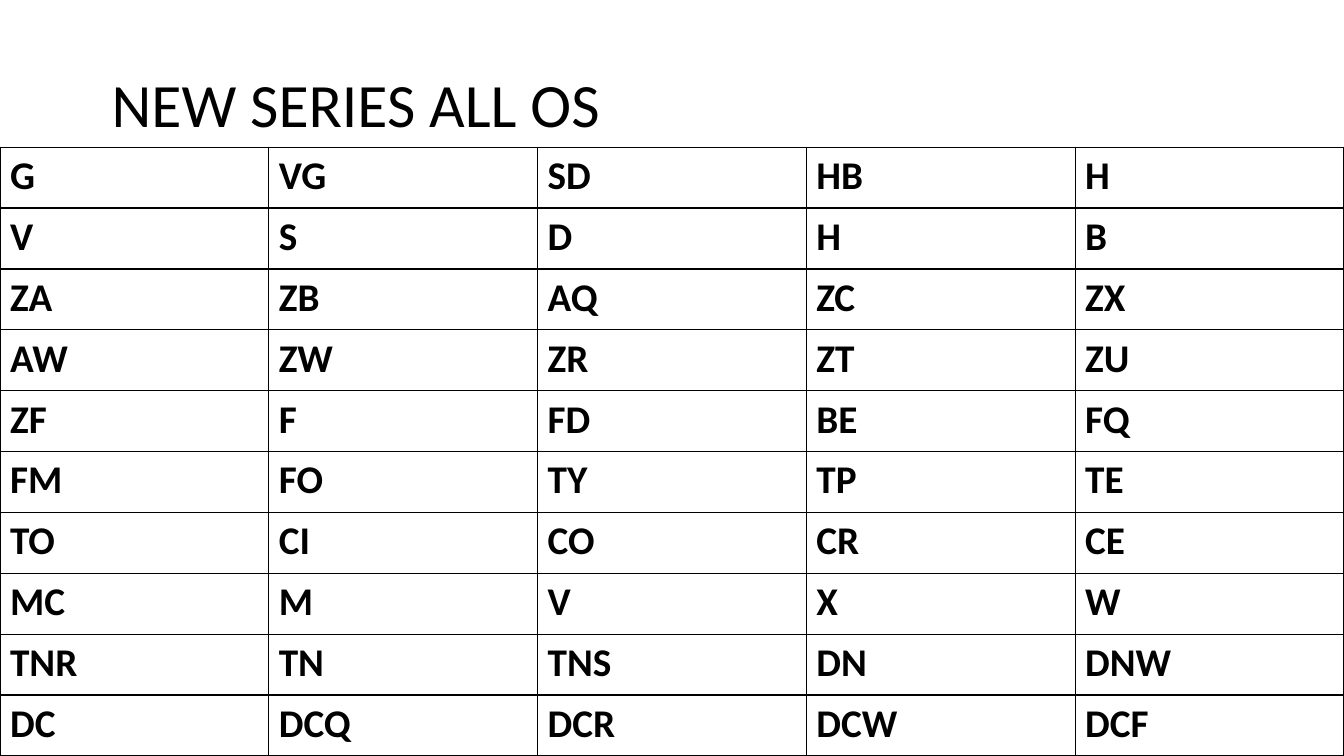
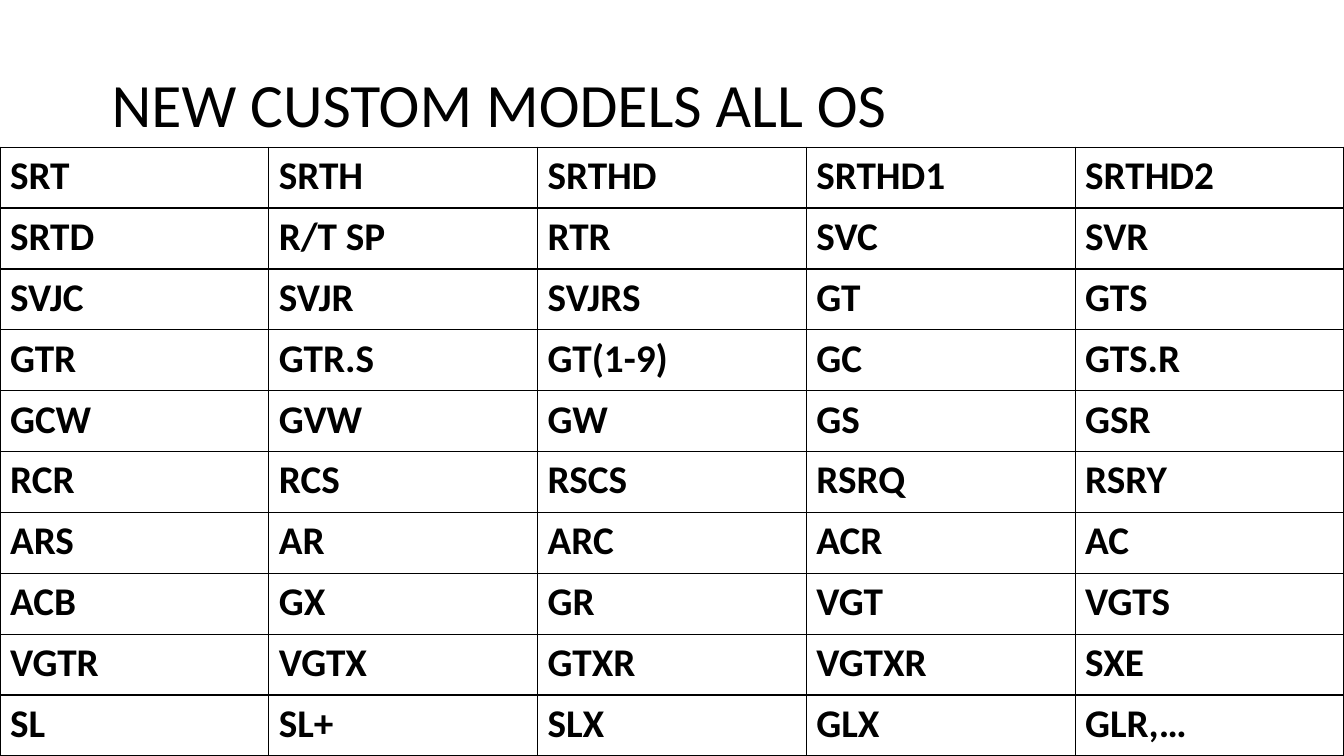
from dataclasses import dataclass

from lxml.etree import SubElement
from pptx import Presentation
from pptx.dml.color import RGBColor
from pptx.enum.text import MSO_ANCHOR
from pptx.oxml.ns import qn
from pptx.util import Inches, Pt


@dataclass(frozen=True)
class Theme:
    """Colours, type and line sizes shared by the slides."""
    ink: str = "000000"
    font: str = "Calibri"
    title_size: int = 44
    cell_size: int = 28
    border: int = 1


THEME = Theme()
WIDTH, HEIGHT = 13.33, 7.5
TITLE_BOX = (1.01, 0.68, 9.58, 0.77)
TABLE_BOX = (0, 1.46, WIDTH, HEIGHT - 1.46)

SLIDES = {
    "NEW SERIES ALL OS": (
        "G|VG|SD|HB|H",
        "V|S|D|H|B",
        "ZA|ZB|AQ|ZC|ZX",
        "AW|ZW|ZR|ZT|ZU",
        "ZF|F|FD|BE|FQ",
        "FM|FO|TY|TP|TE",
        "TO|CI|CO|CR|CE",
        "MC|M|V|X|W",
        "TNR|TN|TNS|DN|DNW",
        "DC|DCQ|DCR|DCW|DCF",
    ),
    "NEW CUSTOM MODELS ALL OS": (
        "SRT|SRTH|SRTHD|SRTHD1|SRTHD2",
        "SRTD|R/T SP|RTR|SVC|SVR",
        "SVJC|SVJR|SVJRS|GT|GTS",
        "GTR|GTR.S|GT(1-9)|GC|GTS.R",
        "GCW|GVW|GW|GS|GSR",
        "RCR|RCS|RSCS|RSRQ|RSRY",
        "ARS|AR|ARC|ACR|AC",
        "ACB|GX|GR|VGT|VGTS",
        "VGTR|VGTX|GTXR|VGTXR|SXE",
        "SL|SL+|SLX|GLX|GLR,…",
    ),
}


def style_paragraph(paragraph, size, bold=False):
    """Apply the theme's font and ink to a paragraph."""
    font = paragraph.font
    font.name, font.size, font.bold = THEME.font, Pt(size), bold
    font.color.rgb = RGBColor.from_string(THEME.ink)


def add_title(slide, box, text):
    """Write the slide's title, centred vertically in the box."""
    frame = slide.shapes.add_textbox(*map(Inches, box)).text_frame
    frame.word_wrap = True
    frame.vertical_anchor = MSO_ANCHOR.MIDDLE
    paragraph = frame.paragraphs[0]
    paragraph.text = text
    paragraph.line_spacing = 0.9
    style_paragraph(paragraph, THEME.title_size)


def style_cell(cell):
    """Clear a cell's fill and draw its four borders."""
    cell.fill.background()
    properties = cell._tc.get_or_add_tcPr()
    for index, side in enumerate(("lnL", "lnR", "lnT", "lnB")):
        line = properties.makeelement(qn(f"a:{side}"), {"w": str(Pt(THEME.border))})
        fill = SubElement(line, qn("a:solidFill"))
        SubElement(fill, qn("a:srgbClr"), val=THEME.ink)
        properties.insert(index, line)


def add_code_table(slide, box, rows):
    """Fill the box with an even grid of codes."""
    grid = [row.split("|") for row in rows]
    left, top, width, height = map(Inches, box)
    table = slide.shapes.add_table(len(grid), len(grid[0]), left, top, width, height).table
    table.first_row = table.horz_banding = False
    for row, codes in zip(table.rows, grid):
        row.height = height // len(grid)
        for cell, code in zip(row.cells, codes):
            cell.text = code
            style_paragraph(cell.text_frame.paragraphs[0], THEME.cell_size, bold=True)
            style_cell(cell)


def add_code_slide(presentation, title, rows):
    """Add a slide with a title above a table of codes."""
    slide = presentation.slides.add_slide(presentation.slide_layouts[6])
    add_title(slide, TITLE_BOX, title)
    add_code_table(slide, TABLE_BOX, rows)


def main():
    """Build and save the presentation."""
    presentation = Presentation()
    presentation.slide_width, presentation.slide_height = Inches(WIDTH), Inches(HEIGHT)
    for title, rows in SLIDES.items():
        add_code_slide(presentation, title, rows)
    presentation.save("out.pptx")


if __name__ == "__main__":
    main()
